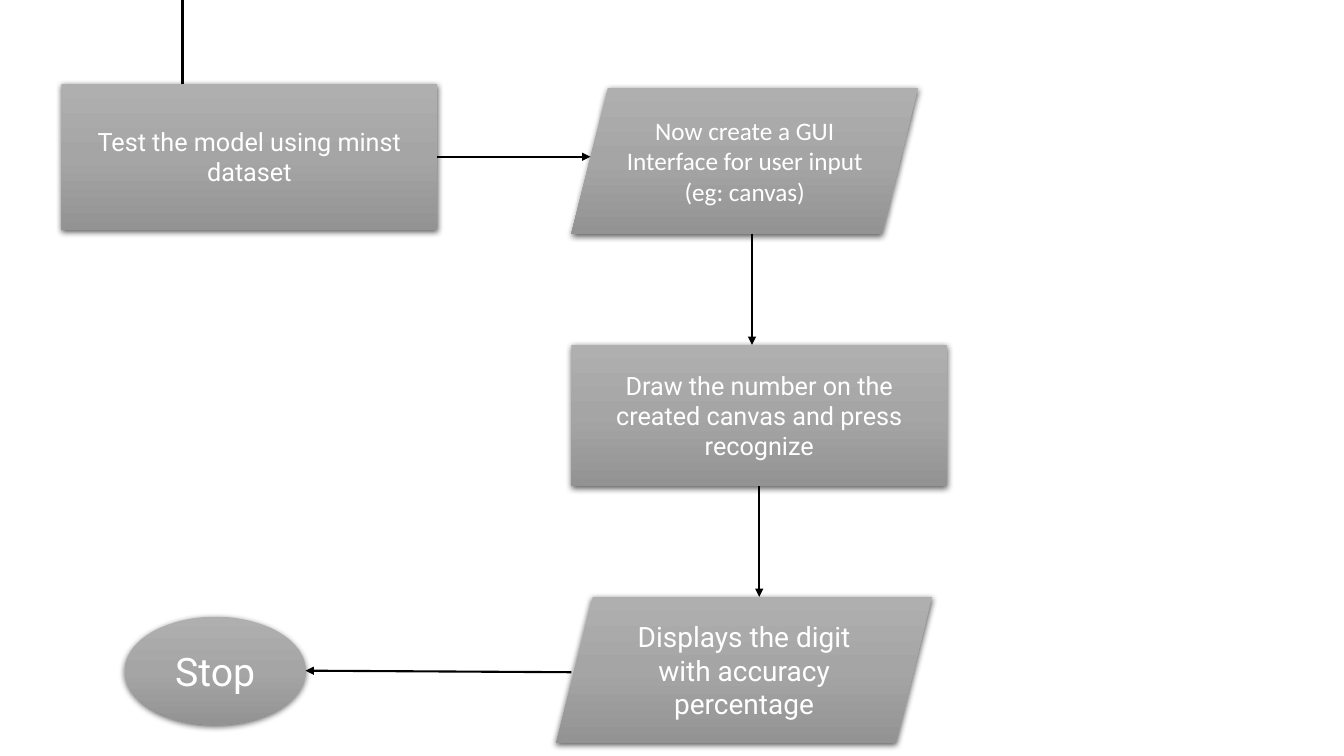
from dataclasses import dataclass

from lxml import etree
from pptx import Presentation
from pptx.dml.color import RGBColor
from pptx.enum import shapes, text
from pptx.oxml import parse_xml
from pptx.oxml.ns import nsdecls, qn
from pptx.util import Cm, Pt


@dataclass(frozen=True)
class Theme:
    gradient: tuple = ((0, "AFAFAF"), (50, "A5A5A5"), (100, "939393"))
    ink: str = "000000"
    label: str = "FFFFFF"
    font: str = "Roboto"
    alternate_font: str = "Calibri"
    step_size: int = 18
    result_size: int = 20
    stop_size: int = 28
    line_width: float = 1.5


THEME = Theme()
KIND = shapes.MSO_SHAPE


@dataclass(frozen=True)
class Box:
    """A region in centimetres."""
    left: float
    top: float
    width: float
    height: float

    def inner(self, left, top, width, height):
        return Box(self.left + left, self.top + top, width, height)


def style_surface(shape):
    """Give a shape the grey gradient and the soft shadow below it."""
    shape.line.fill.background()
    stops = "".join(
        f'<a:gs pos="{position * 1000}"><a:srgbClr val="{color}"/></a:gs>'
        for position, color in THEME.gradient)
    properties = shape.element.spPr
    properties.find(qn("a:prstGeom")).addnext(parse_xml(
        f'<a:gradFill {nsdecls("a")} rotWithShape="1"><a:gsLst>{stops}</a:gsLst>'
        '<a:lin ang="5400000" scaled="0"/></a:gradFill>'))
    properties.append(parse_xml(
        f'<a:effectLst {nsdecls("a")}><a:outerShdw blurRad="{Pt(4.5)}" '
        f'dist="{Pt(1.5)}" dir="5400000" algn="ctr" rotWithShape="0">'
        f'<a:srgbClr val="{THEME.ink}"><a:alpha val="63000"/></a:srgbClr>'
        '</a:outerShdw></a:effectLst>'))


def add_step(page, kind, box, label, size=THEME.step_size, font=THEME.font):
    step = page.shapes.add_shape(
        kind, Cm(box.left), Cm(box.top), Cm(box.width), Cm(box.height))
    style_surface(step)
    frame = step.text_frame
    frame.text = label
    frame.word_wrap = True
    frame.vertical_anchor = text.MSO_ANCHOR.MIDDLE
    para = frame.paragraphs[0]
    para.alignment = text.PP_ALIGN.CENTER
    span = para.runs[0]
    span.font.size = Pt(size)
    span.font.name = font
    span.font.color.rgb = RGBColor.from_string(THEME.label)
    return step


def add_line(page, start, end, arrow=True):
    line = page.shapes.add_connector(shapes.MSO_CONNECTOR.STRAIGHT, *start, *end)
    line.line.color.rgb = RGBColor.from_string(THEME.ink)
    line.line.width = Pt(THEME.line_width)
    properties = line.element.spPr
    if arrow:
        etree.SubElement(properties.find(qn("a:ln")), qn("a:tailEnd"),
                         type="triangle")
    etree.SubElement(properties, qn("a:effectLst"))
    return line


def middle(shape):
    return shape.left + shape.width // 2, shape.top + shape.height // 2


def draw_test(page, box):
    """Testing step with the line that enters from above."""
    entry = Cm(box.left + 3.05)
    add_line(page, (entry, Cm(box.top)), (entry, Cm(box.top + 2.13)), arrow=False)
    return add_step(page, KIND.RECTANGLE, box.inner(0, 2.11, box.width, 3.68),
                    "Test the model using minst dataset")


def draw_canvas(page, box):
    """User input and the drawing step below it."""
    interface = add_step(page, KIND.PARALLELOGRAM, box.inner(0, 0, 8.74, 3.68),
                         "Now create a GUI Interface for user input (eg: canvas)",
                         font=THEME.alternate_font)
    drawing = add_step(page, KIND.RECTANGLE, box.inner(0, 6.48, box.width, 3.56),
                       "Draw the number on the created canvas and press recognize")
    center = Cm(box.left + 4.55)
    add_line(page, (center, interface.top + interface.height),
             (center, drawing.top))
    return interface, drawing


def draw_result(page, box):
    """Displayed digit and the stop mark."""
    display = add_step(page, KIND.PARALLELOGRAM,
                       box.inner(box.width - 9.47, 0, 9.47, box.height),
                       "Displays the digit with accuracy percentage",
                       THEME.result_size)
    stop = add_step(page, KIND.OVAL, box.inner(0, 0.5, 4.55, 2.72),
                    "Stop", THEME.stop_size)
    add_line(page, (display.left + Cm(0.38), Cm(box.top + 1.9)),
             (stop.left + stop.width, middle(stop)[1]))
    return display


def main():
    deck = Presentation()
    deck.slide_width, deck.slide_height = Cm(33.87), Cm(19.05)
    page = deck.slides.add_slide(deck.slide_layouts[6])

    # Regions
    test = draw_test(page, Box(1.55, 0, 9.47, 5.79))
    interface, drawing = draw_canvas(page, Box(14.4, 2.21, 9.47, 10.04))
    display = draw_result(page, Box(3.15, 15.04, 20.34, 3.68))

    # Arrows between regions
    level = middle(test)[1]
    to_interface = add_line(page, (test.left + test.width, level),
                            (interface.left + Cm(0.48), level))
    to_interface.begin_connect(test, 3)
    center = middle(drawing)[0]
    to_display = add_line(page, (center, drawing.top + drawing.height),
                          (center, display.top))
    to_display.begin_connect(drawing, 2)

    deck.save("out.pptx")


if __name__ == "__main__":
    main()
